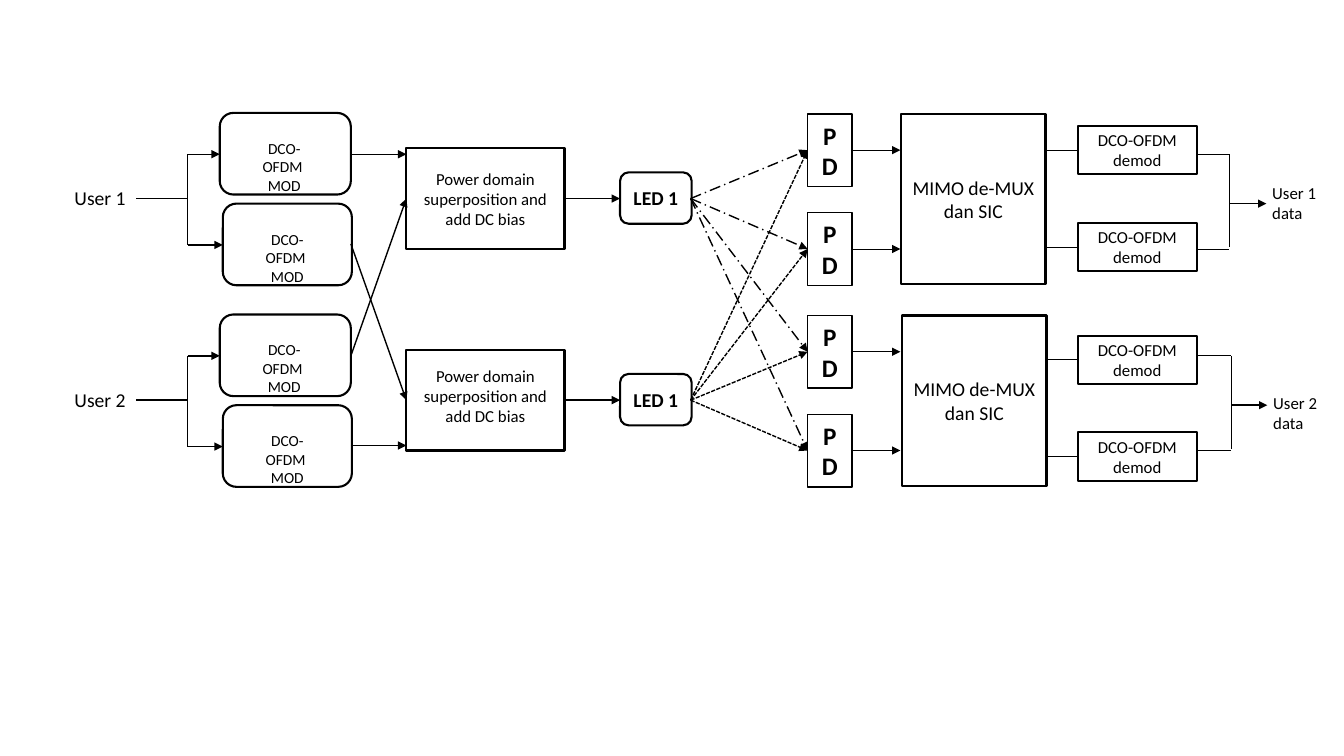
from dataclasses import dataclass
from itertools import product
from typing import Optional

from lxml import etree
from pptx import Presentation
from pptx import util as u
from pptx.dml.color import RGBColor
from pptx.enum import dml, shapes, text
from pptx.oxml import ns

# Grid: one column and one row are an inch; each user takes a band of two rows
COLUMN = ROW = u.Inches(1)
COLUMNS, ROWS = 13.33, 7.5
BAND = 2.0
INK = "000000"
FONT = "Calibri"
RECT = shapes.MSO_SHAPE.RECTANGLE
ROUND = shapes.MSO_SHAPE.ROUNDED_RECTANGLE
DASH_DOT = dml.MSO_LINE.LONG_DASH_DOT
SHORT_DASH = dml.MSO_LINE.SQUARE_DOT


@dataclass
class Block:
    left: float
    top: float
    width: float
    height: float
    label: str = ""
    size: int = 12
    bold: bool = False
    form: shapes.MSO_SHAPE = RECT
    weight: float = 1.5
    margin_bottom: float = 0.05


@dataclass
class Caption:
    left: float
    top: float
    width: float
    height: float
    label: str
    size: int
    centred: bool = False
    wrap: bool = True


@dataclass
class Wire:
    x1: float
    y1: float
    x2: float
    y2: float
    weight: float = 1
    arrow: bool = False
    dash: Optional[dml.MSO_LINE] = None


def colour(value: str) -> RGBColor:
    return RGBColor.from_string(value)


def x(columns: float) -> int:
    return round(columns * COLUMN)


def y(rows: float) -> int:
    return round(rows * ROW)


def write(frame, label: str, size: int, bold: bool, centred: bool) -> None:
    frame.text = label
    for para in frame.paragraphs:
        para.alignment = text.PP_ALIGN.CENTER if centred else text.PP_ALIGN.LEFT
        for span in para.runs:
            span.font.name = FONT
            span.font.size = u.Pt(size)
            span.font.bold = bold
            span.font.color.rgb = colour(INK)


def draw_block(page, block: Block) -> None:
    box = page.shapes.add_shape(block.form, x(block.left), y(block.top),
                                x(block.width), y(block.height))
    box.shadow.inherit = False
    box.fill.background()
    box.line.color.rgb = colour(INK)
    box.line.width = u.Pt(block.weight)
    if block.label:
        frame = box.text_frame
        frame.word_wrap = True
        frame.vertical_anchor = text.MSO_ANCHOR.MIDDLE
        frame.margin_bottom = y(block.margin_bottom)
        write(frame, block.label, block.size, block.bold, True)


def draw_caption(page, caption: Caption) -> None:
    box = page.shapes.add_textbox(x(caption.left), y(caption.top),
                                  x(caption.width), y(caption.height))
    box.text_frame.word_wrap = caption.wrap
    write(box.text_frame, caption.label, caption.size, False, caption.centred)


def draw_wire(page, wire: Wire) -> None:
    line = page.shapes.add_connector(shapes.MSO_CONNECTOR.STRAIGHT, x(wire.x1),
                                     y(wire.y1), x(wire.x2), y(wire.y2))
    line.line.color.rgb = colour(INK)
    line.line.width = u.Pt(wire.weight)
    if wire.dash is not None:
        line.line.dash_style = wire.dash
    if wire.arrow:
        outline = line.line._get_or_add_ln()
        etree.SubElement(outline, ns.qn("a:tailEnd"), type="triangle")
    etree.SubElement(line._element.spPr, ns.qn("a:effectLst"))


def draw_transmitter(page, band: int) -> None:
    top = band * BAND
    middle = top + 1.97
    draw_caption(page, Caption(0.64, top + 1.8, 0.72, 0.34,
                               f"User {band + 1}", 14, wrap=False))
    draw_wire(page, Wire(1.35, middle, 1.86, middle))
    # Two modulators, fed by a fork from the user
    for left, offset, width in ((2.18, 1.12, 1.3), (2.21, 2.02, 1.28)):
        feed = top + offset + 0.41
        draw_block(page, Block(left, top + offset, width, 0.81, form=ROUND))
        draw_caption(page, Caption(left + 0.24, top + offset + 0.21, 0.8, 0.4,
                                   "DCO-OFDM \nMOD", 11, centred=True))
        draw_wire(page, Wire(1.86, middle, 1.86, feed))
        draw_wire(page, Wire(1.86, feed, left, feed, arrow=True))
    # Superposition and LED
    draw_block(page, Block(4.03, top + 1.47, 1.57, 1,
                           "Power domain superposition and add DC bias",
                           margin_bottom=0.05 + 0.08 * band))
    draw_wire(page, Wire(5.6, middle, 6.15, middle, arrow=True))
    draw_block(page, Block(6.15, top + 1.71, 0.71, 0.51, "LED 1", 14, True, ROUND))


def draw_receiver(page, band: int) -> None:
    top = band * BAND
    nudge = 0.01 * band
    # Photodetectors and de-multiplexer
    for offset in (1.13, 2.11):
        centre = top + offset + 0.36
        draw_block(page, Block(8.01, top + offset, 0.44, 0.72, "PD", 18, True, weight=1))
        draw_wire(page, Wire(8.44, centre, 8.93, centre, 0.5, True))
    draw_block(page, Block(8.94 + nudge, top + 1.13, 1.43, 1.69,
                           "MIMO de-MUX dan SIC", 14))
    # Demodulators
    for offset in (1.25, 2.21):
        demod_top = top + offset + 0.08 * band
        centre = demod_top + 0.24
        draw_block(page, Block(10.69, demod_top, 1.18, 0.48, "DCO-OFDM demod"))
        draw_wire(page, Wire(10.37, centre, 10.69, centre, 0.5))
    # Bracket that joins the outputs into the user's data
    joint = 12.19 + 2 * nudge
    for offset in (1.53, 2.47):
        draw_wire(page, Wire(11.87 + nudge, top + offset, joint, top + offset, 0.5))
    draw_wire(page, Wire(joint, top + 1.53, joint, top + 2.45, 0.5))
    draw_wire(page, Wire(joint, top + 2.02, 12.56 + nudge, top + 2.02, arrow=True))
    draw_caption(page, Caption(12.52 + nudge, top + 1.76 + 0.09 * band, 0.7, 0.5,
                               f"User {band + 1}\ndata", 12))


deck = Presentation()
deck.slide_width, deck.slide_height = x(COLUMNS), y(ROWS)
page = deck.slides.add_slide(deck.slide_layouts[6])

for band in range(2):
    draw_transmitter(page, band)
    draw_receiver(page, band)

# Modulators to superposition: straight outside, crossed inside
for start, end in ((1.53, 1.53), (3.53, 1.97), (2.42, 3.97), (4.42, 4.42)):
    draw_wire(page, Wire(3.48, start, 4.03, end, arrow=True))

# Optical channel: every LED reaches every photodetector
for (led, dash), detector in product(((1.97, DASH_DOT), (3.97, SHORT_DASH)),
                                     (1.49, 2.47, 3.49, 4.47)):
    draw_wire(page, Wire(6.85, led, 8.01, detector, arrow=True, dash=dash))

deck.save("out.pptx")
